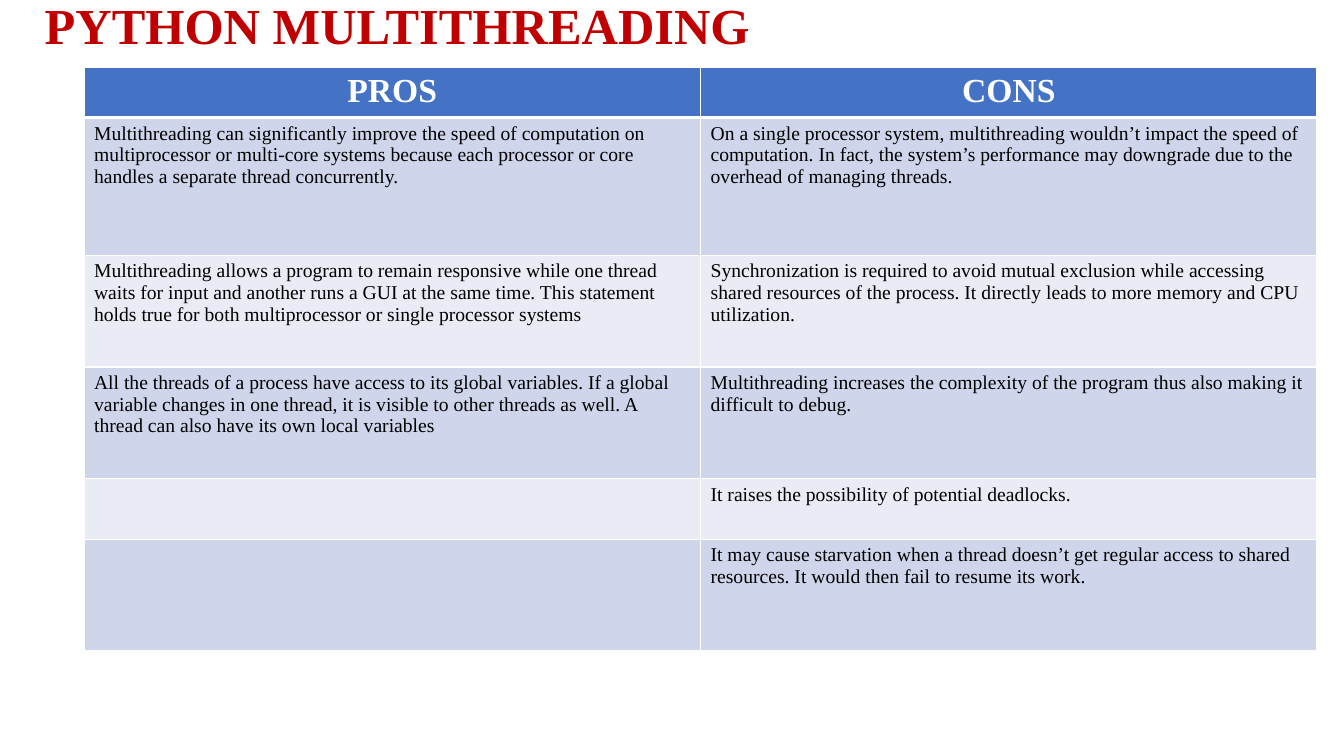
from lxml.etree import SubElement
from pptx import Presentation
from pptx.dml.color import RGBColor
from pptx.enum.text import MSO_ANCHOR, PP_ALIGN
from pptx.oxml.ns import qn
from pptx.util import Inches, Pt

HUES = {"title": "C00000", "head": "4472C4", "odd": "CFD5EA",
        "even": "E9EBF5", "text": "000000", "white": "FFFFFF"}

ROWS = [
    (5.2, "PROS", "CONS"),
    (16.4,
     "Multithreading can significantly improve the speed of computation on multiprocessor or multi-core systems because each processor or core handles a separate thread concurrently.",
     "On a single processor system, multithreading wouldn’t impact the speed of computation. In fact, the system’s performance may downgrade due to the overhead of managing threads."),
    (13.3,
     "Multithreading allows a program to remain responsive while one thread waits for input and another runs a GUI at the same time. This statement holds true for both multiprocessor or single processor systems",
     "Synchronization is required to avoid mutual exclusion while accessing shared resources of the process. It directly leads to more memory and CPU utilization."),
    (13.3,
     "All the threads of a process have access to its global variables. If a global variable changes in one thread, it is visible to other threads as well. A thread can also have its own local variables",
     "Multithreading increases the complexity of the program thus also making it difficult to debug."),
    (7.2, "", "It raises the possibility of potential deadlocks."),
    (13.3, "",
     "It may cause starvation when a thread doesn’t get regular access to shared resources. It would then fail to resume its work."),
]


class Deck:
    """Draws styled elements on one slide, measured on a 160 by 90 grid."""

    face = "Times New Roman"

    def __init__(self):
        self.file = Presentation()
        self.file.slide_width = Inches(13.33)
        self.file.slide_height = Inches(7.5)
        self.slide = self.file.slides.add_slide(self.file.slide_layouts[6])

    def cols(self, count):
        return round(self.file.slide_width * count / 160)

    def rows(self, count):
        return round(self.file.slide_height * count / 90)

    def style(self, run, size, hue, bold):
        font = run.font
        font.name, font.size, font.bold = self.face, Pt(size), bold
        font.color.rgb = RGBColor.from_string(HUES[hue])

    def title(self, text, left, top, width, height):
        box = self.slide.shapes.add_textbox(
            self.cols(left), self.rows(top), self.cols(width), self.rows(height))
        frame = box.text_frame
        frame.word_wrap = True
        frame.vertical_anchor = MSO_ANCHOR.MIDDLE
        line = frame.paragraphs[0]
        line.line_spacing = 0.9
        for part, size in ((" ", 44), (text, 36)):
            run = line.add_run()
            run.text = part
            self.style(run, size, "title", True)

    def edge(self, cell, side, width):
        props = cell._tc.get_or_add_tcPr()
        line = SubElement(props, qn(f"a:ln{side}"), w=str(Pt(width)))
        fill = SubElement(line, qn("a:solidFill"))
        SubElement(fill, qn("a:srgbClr"), val=HUES["white"])

    def cell(self, cell, text, row):
        head = row == 0
        thick = {0: "B", 1: "T"}.get(row)
        for side in "LRTB":
            self.edge(cell, side, 3 if side == thick else 1)
        hue = "head" if head else "odd" if row % 2 else "even"
        cell.fill.solid()
        cell.fill.fore_color.rgb = RGBColor.from_string(HUES[hue])
        cell.text_frame.text = text
        line = cell.text_frame.paragraphs[0]
        line.alignment = PP_ALIGN.CENTER if head else PP_ALIGN.LEFT
        for run in line.runs:
            self.style(run, 24 if head else 14, "white" if head else "text", head)

    def table(self, data, left, top, width):
        high = sum(row[0] for row in data)
        grid = self.slide.shapes.add_table(
            len(data), 2, self.cols(left), self.rows(top),
            self.cols(width), self.rows(high)).table
        for row, (size, *texts) in enumerate(data):
            grid.rows[row].height = self.rows(size)
            for col, text in enumerate(texts):
                self.cell(grid.cell(row, col), text, row)


def main():
    deck = Deck()
    deck.title("PYTHON MULTITHREADING", 2.3, 0, 148.6, 5.8)
    deck.table(ROWS, 10, 8, 146.8)
    deck.file.save("out.pptx")


if __name__ == "__main__":
    main()
